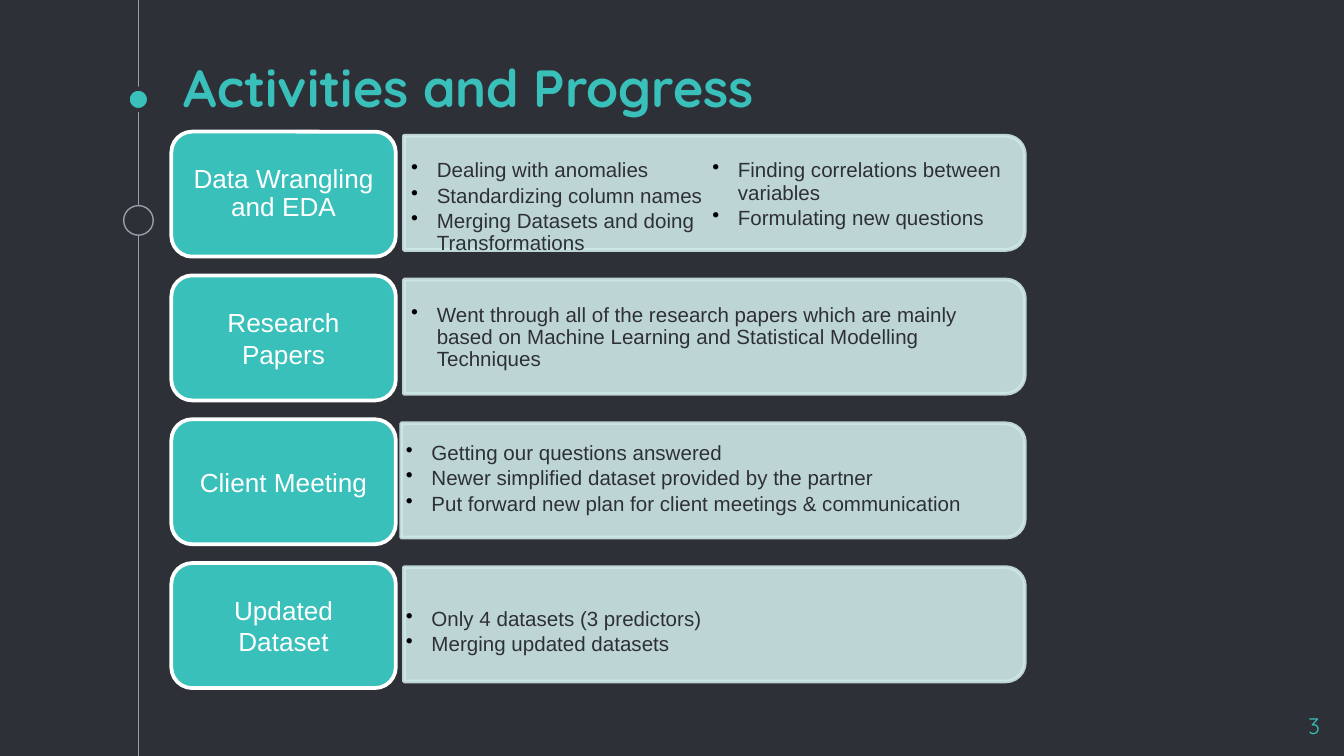
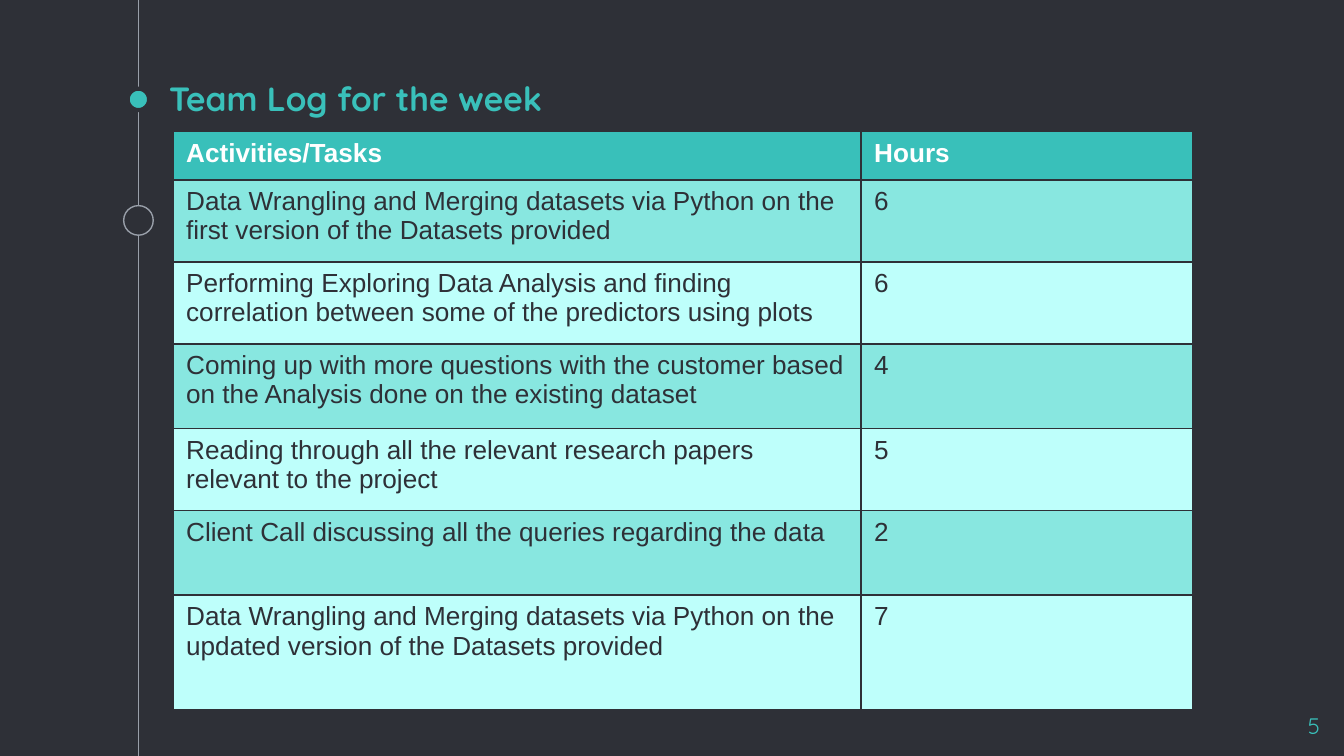
from collections import namedtuple

from lxml import etree
from pptx import Presentation, util as u
from pptx.dml.color import RGBColor
from pptx.enum import shapes, text
from pptx.oxml import ns

COLORS = {
    "night": "2E3037", "teal": "39C0BA", "steel": "999FA9", "mist": "CEE8E7",
    "white": "FFFFFF", "black": "000000", "row_dark": "88E7E0", "row_light": "BEFFFB",
}
BODY, DISPLAY = "Arial", "Quicksand"
CELL = u.Inches(0.1)  # square grid: 100 columns by 56.25 rows
COLUMNS, ROWS = 100, 56.25
Box = namedtuple("Box", "x y w h")

TITLE_ROW, TITLE_SIZE = 6, (75, 3.8)
NUMBER_BOX = Box(93.2, 52, 6, 3.4)
RAIL_X = 10.3
LEFT = 12.75
TOP = 9.8

# label, label line spacing, bullets, bullet columns, bullet shift (x, y), band start
ACTIVITIES = [
    ("Data Wrangling and EDA", 0.9,
     ["Dealing with anomalies", "Standardizing column names",
      "Merging Datasets and doing Transformations",
      "Finding correlations between variables", "Formulating new questions"],
     2, (0, 1), 0),
    ("Research Papers", 1.0,
     ["Went through all of the research papers which are mainly based on "
      "Machine Learning and Statistical Modelling Techniques"],
     1, (0, 0), 0),
    ("Client Meeting", 1.0,
     ["Getting our questions answered",
      "Newer simplified dataset provided by the partner",
      "Put forward new plan for client meetings & communication"],
     1, (-0.4, -0.2), -0.2),
    ("Updated Dataset", 1.0,
     ["Only 4 datasets (3 predictors)", "Merging updated datasets"],
     1, (-0.4, 0.5), 0),
]

TEAM_LOG = [
    ("Activities/Tasks", "Hours"),
    ("Data Wrangling and Merging datasets via Python on the first version of "
     "the Datasets provided", "6"),
    ("Performing Exploring Data Analysis and finding correlation between some "
     "of the predictors using plots", "6"),
    ("Coming up with more questions with the customer based on the Analysis "
     "done on the existing dataset", "4"),
    ("Reading through all the relevant research papers relevant to the project", "5"),
    ("Client Call discussing all the queries regarding the data", "2"),
    ("Data Wrangling and Merging datasets via Python on the updated version of "
     "the Datasets provided", "7"),
]
LOG_COLUMNS = (51.2, 24.7)
LOG_ROWS = (3.6, 6.1, 6.1, 6.3, 6.1, 6.3, 8.5)


def grid(*cells):
    """Turn grid cells into lengths."""
    return [u.Emu(round(n * CELL)) for n in cells]


def rgb(name):
    """Look up a colour."""
    return RGBColor.from_string(COLORS[name])


def xml_color(parent, name):
    """Append a solid fill of the named colour to an XML element."""
    fill = etree.SubElement(parent, ns.qn("a:solidFill"))
    etree.SubElement(fill, ns.qn("a:srgbClr"), val=COLORS[name])


def style_font(paragraph, size, color, face=BODY, bold=False):
    """Set the font of a whole paragraph."""
    font = paragraph.font
    font.size, font.name, font.bold = u.Pt(size), face, bold
    font.color.rgb = rgb(color)


def set_frame(frame, anchor, inset_x, inset_y):
    """Wrap a text frame, anchor it and set its insets in cells."""
    frame.word_wrap = True
    frame.vertical_anchor = anchor
    frame.margin_left, frame.margin_right = grid(inset_x, inset_x)
    frame.margin_top, frame.margin_bottom = grid(inset_y, inset_y)


def add_outline(slide, kind, box, fill, line, weight):
    """Add a preset shape with a fill and a line."""
    shape = slide.shapes.add_shape(kind, *grid(*box))
    shape.shadow.inherit = False
    shape.fill.solid()
    shape.fill.fore_color.rgb = rgb(fill)
    shape.line.color.rgb = rgb(line)
    shape.line.width = u.Pt(weight)
    return shape


def add_line_of_text(slide, box, words, size, anchor, align, bold=False):
    """Add a teal text box in the display face."""
    frame = slide.shapes.add_textbox(*grid(*box)).text_frame
    set_frame(frame, anchor, 1, 1)
    paragraph = frame.paragraphs[0]
    paragraph.text, paragraph.alignment = words, align
    style_font(paragraph, size, "teal", DISPLAY, bold)


def add_rail(slide, x):
    """Draw the vertical rail with its dot and ring, centred on x."""
    rail = slide.shapes.add_connector(
        shapes.MSO_CONNECTOR.STRAIGHT, *grid(x, 0, x, ROWS))
    rail.line.color.rgb, rail.line.width = rgb("steel"), u.Pt(0.75)
    etree.SubElement(rail._element.spPr, ns.qn("a:effectLst"))
    for middle, size, fill, line, weight in (
            (7.4, 1.6, "teal", "night", 2.25), (16.4, 2.2, "night", "steel", 0.75)):
        box = Box(x - size / 2, middle - size / 2, size, size)
        add_outline(slide, shapes.MSO_SHAPE.OVAL, box, fill, line, weight)


def start_slide(deck, title, title_x, title_size, number):
    """Add a slide with the shared background, rail, title and number."""
    slide = deck.slides.add_slide(deck.slide_layouts[6])
    slide.background.fill.solid()
    slide.background.fill.fore_color.rgb = rgb("night")
    add_rail(slide, RAIL_X)
    add_line_of_text(slide, Box(title_x, TITLE_ROW, *TITLE_SIZE), title, title_size,
                     text.MSO_ANCHOR.BOTTOM, text.PP_ALIGN.LEFT, bold=True)
    add_line_of_text(slide, NUMBER_BOX, number, 12,
                     text.MSO_ANCHOR.TOP, text.PP_ALIGN.RIGHT)
    return slide


def add_band(slide, box):
    """Draw a pale band rounded at its right end: a turned shape filling box."""
    upright = Box(box.x + (box.w - box.h) / 2, box.y + (box.h - box.w) / 2, box.h, box.w)
    band = add_outline(slide, shapes.MSO_SHAPE.ROUND_2_SAME_RECTANGLE, upright,
                       "mist", "mist", 2)
    band.rotation = 90
    for color in band._element.spPr.iter(ns.qn("a:srgbClr")):
        etree.SubElement(color, ns.qn("a:alpha"), val="90000")


def add_bullets(slide, box, items, columns):
    """Add a bulleted list in one or more text columns."""
    frame = slide.shapes.add_textbox(*grid(*box)).text_frame
    set_frame(frame, text.MSO_ANCHOR.MIDDLE, 0.5, 0.2)
    if columns > 1:
        frame._txBody.bodyPr.set("numCol", str(columns))
    hang = grid(1.9)[0]
    for i, item in enumerate(items):
        paragraph = frame.add_paragraph() if i else frame.paragraphs[0]
        paragraph.text = item
        paragraph.line_spacing, paragraph.space_after = 0.9, u.Pt(1.7)
        style_font(paragraph, 11, "night")
        props = paragraph._p.get_or_add_pPr()
        props.set("marL", str(hang))
        props.set("indent", str(-hang))
        # bullet marks come after the spacing and before the default font
        mark_color = etree.Element(ns.qn("a:buClr"))
        etree.SubElement(mark_color, ns.qn("a:srgbClr"), val=COLORS["black"])
        mark = etree.Element(ns.qn("a:buChar"), char="\u2022")
        default_font = props.find(ns.qn("a:defRPr"))
        for part in (mark_color, mark):
            if default_font is None:
                props.append(part)
            else:
                default_font.addprevious(part)


def add_activity(slide, box, activity):
    """Place one activity: band, bullets and label inside box."""
    label, spacing, items, columns, (shift_x, shift_y), start = activity
    band_x = box.x + 17.3 + start
    add_band(slide, Box(band_x, box.y + 0.3, box.x + box.w - band_x, 8.5))
    add_bullets(slide, Box(box.x + 17.35 + shift_x, box.y + 0.75 + shift_y, 45.8, 7.8),
                items, columns)
    tile = add_outline(slide, shapes.MSO_SHAPE.ROUNDED_RECTANGLE,
                       Box(box.x, box.y, 16.7, box.h), "teal", "white", 2)
    set_frame(tile.text_frame, text.MSO_ANCHOR.MIDDLE, 0.7, 0.4)
    paragraph = tile.text_frame.paragraphs[0]
    paragraph.text, paragraph.alignment = label, text.PP_ALIGN.CENTER
    paragraph.line_spacing = spacing
    style_font(paragraph, 14, "white")


def add_activities(slide, box, activities):
    """Stack the activities at an equal pitch from the top of box."""
    tile_height = 9.3
    pitch = (box.h - tile_height) / (len(activities) - 1)
    for i, activity in enumerate(activities):
        add_activity(slide, Box(box.x, box.y + i * pitch, box.w, tile_height), activity)


def add_borders(cell):
    """Rule all four sides of a table cell."""
    props = cell._tc.get_or_add_tcPr()
    for i, side in enumerate(("lnL", "lnR", "lnT", "lnB")):
        border = etree.Element(ns.qn("a:" + side), w=str(u.Pt(1)))
        xml_color(border, "night")
        props.insert(i, border)


def add_team_log(slide, x, y, log):
    """Place the table of tasks and hours with its corner at x, y."""
    box = Box(x, y, sum(LOG_COLUMNS), sum(LOG_ROWS))
    table = slide.shapes.add_table(len(log), len(LOG_COLUMNS), *grid(*box)).table
    for column, width in zip(table.columns, grid(*LOG_COLUMNS)):
        column.width = width
    for row, height in zip(table.rows, grid(*LOG_ROWS)):
        row.height = height
    for r, entry in enumerate(log):
        header = r == 0
        fill = "teal" if header else "row_dark" if r % 2 else "row_light"
        for c, words in enumerate(entry):
            cell = table.cell(r, c)
            cell.text = words
            cell.fill.solid()
            cell.fill.fore_color.rgb = rgb(fill)
            style_font(cell.text_frame.paragraphs[0], 14,
                       "white" if header else "night", bold=header)
            add_borders(cell)


def main():
    """Build and save the two slides."""
    deck = Presentation()
    deck.slide_width, deck.slide_height = grid(COLUMNS, ROWS)

    progress = start_slide(deck, "Activities and Progress", 12.7, 28, "3")
    add_activities(progress, Box(LEFT, TOP, 63.5, 41.4), ACTIVITIES)

    week = start_slide(deck, "Team Log for the week", 11.6, 18, "5")
    add_team_log(week, LEFT + 0.1, TOP, TEAM_LOG)

    deck.save("out.pptx")


main()
